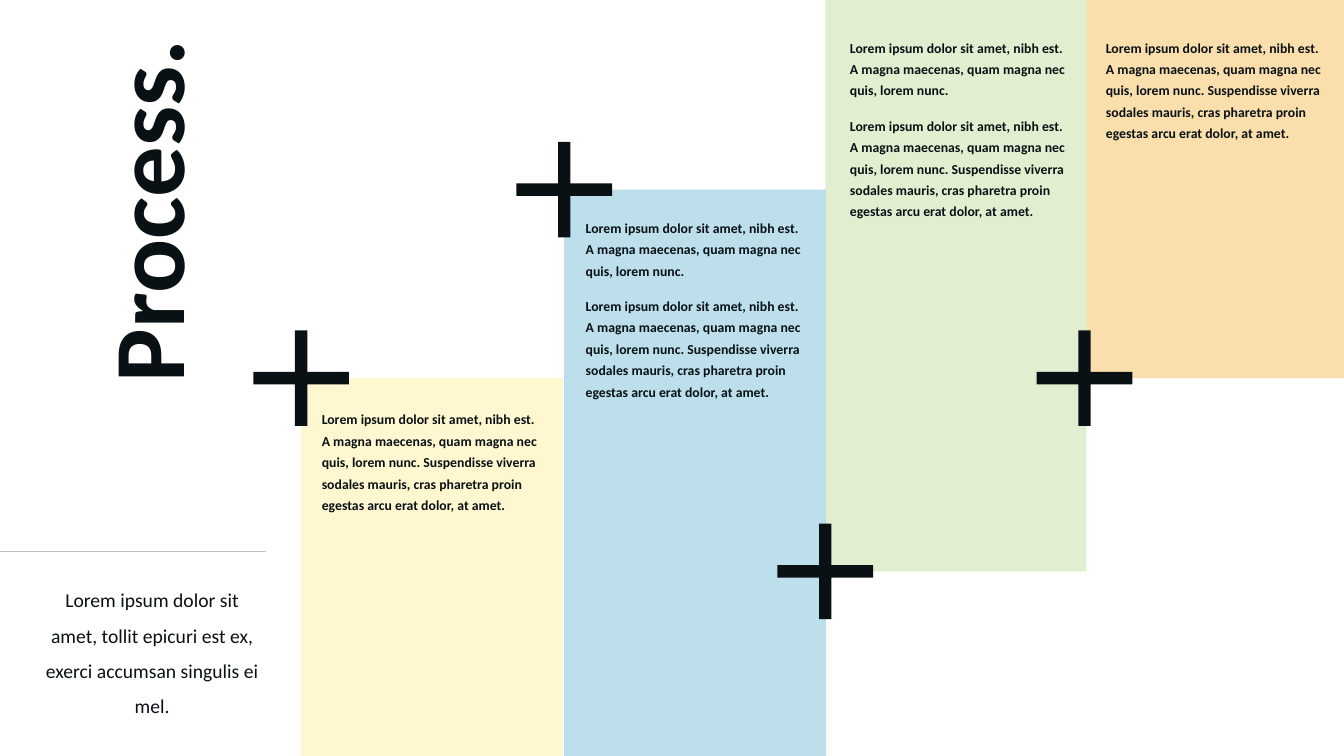
"""Build a process slide with four staggered colour panels marked by plus signs."""
from pptx import Presentation
from pptx import util as u
from pptx.dml.color import RGBColor
from pptx.enum import shapes, text
from pptx.oxml.ns import qn
from lxml import etree

COLORS = {
    "ink": "091115",
    "rule": "BFBFBF",
    "orange": "FADFAC",
    "green": "E1EFD0",
    "blue": "BCDFEB",
    "yellow": "FFF7D0",
}
SHORT = "Lorem ipsum dolor sit amet, nibh est. A magna maecenas, quam magna nec quis, lorem nunc."
LONG = SHORT + " Suspendisse viverra sodales mauris, cras pharetra proin egestas arcu erat dolor, at amet."
TEXT_WIDTH = 5.69
PLUS_SIZE = 3.28

presentation = Presentation()
presentation.slide_width = u.Cm(33.87)
presentation.slide_height = u.Cm(19.05)
slide = presentation.slides.add_slide(presentation.slide_layouts[6])


def add_text(paragraphs, left, top, width, height, size, bold=False, align="LEFT",
             spacing=1.0, before=0, inset=0.13, anchor="TOP", rotation=0):
    box = slide.shapes.add_textbox(u.Cm(left), u.Cm(top), u.Cm(width), u.Cm(height))
    box.rotation = rotation
    frame = box.text_frame
    frame.word_wrap = True
    frame.vertical_anchor = text.MSO_ANCHOR[anchor]
    frame.margin_left = frame.margin_right = u.Cm(inset)
    frame.margin_top = frame.margin_bottom = u.Cm(inset)
    for index, words in enumerate(paragraphs):
        paragraph = frame.add_paragraph() if index else frame.paragraphs[0]
        paragraph.alignment = text.PP_ALIGN[align]
        paragraph.line_spacing = spacing
        paragraph.space_before = u.Pt(before)
        run = paragraph.add_run()
        run.text = words
        run.font.name = "Calibri"
        run.font.size = u.Pt(size)
        run.font.bold = bold
        run.font.color.rgb = RGBColor.from_string(COLORS["ink"])


def add_filled(kind, left, top, width, height, color):
    shape = slide.shapes.add_shape(kind, u.Cm(left), u.Cm(top), u.Cm(width), u.Cm(height))
    shape.shadow.inherit = False
    shape.fill.solid()
    shape.fill.fore_color.rgb = RGBColor.from_string(COLORS[color])
    shape.line.fill.background()
    return shape


rule = slide.shapes.add_connector(
    shapes.MSO_CONNECTOR.STRAIGHT, u.Cm(0), u.Cm(13.89), u.Cm(6.71), u.Cm(13.89))
rule.line.color.rgb = RGBColor.from_string(COLORS["rule"])
rule.line.width = u.Pt(1)
etree.SubElement(rule.element.spPr, qn("a:effectLst"))

panels = [
    ("orange", 27.33, 0, 6.54, 9.53, 27.74, 0.74, [LONG]),
    ("green", 20.8, 0, 6.58, 14.4, 21.29, 0.74, [SHORT, LONG]),
    ("blue", 14.22, 4.78, 6.6, 14.27, 14.63, 5.28, [SHORT, LONG]),
    ("yellow", 7.59, 9.53, 6.6, 9.52, 7.98, 10.11, [LONG]),
]
for color, left, top, width, height, text_left, text_top, paragraphs in panels:
    add_filled(shapes.MSO_SHAPE.RECTANGLE, left, top, width, height, color)

add_text(["Lorem ipsum dolor sit amet, tollit epicuri est ex, exerci accumsan singulis ei mel."],
         0.99, 14.4, TEXT_WIDTH, 4.14, 14, align="CENTER", spacing=1.5, before=10)
add_text(["Process."], -2.49, 4.22, 12.65, TEXT_WIDTH, 72, bold=True, align="RIGHT",
         spacing=0.9, inset=0.25, anchor="MIDDLE", rotation=270)

for color, left, top, width, height, text_left, text_top, paragraphs in panels:
    add_text(paragraphs, text_left, text_top, TEXT_WIDTH, top + height - 0.5 - text_top,
             9.8, bold=True, spacing=1.3, before=10)

for color, left, top, width, height, text_left, text_top, paragraphs in panels:
    corner = top if top else height
    plus = add_filled(shapes.MSO_SHAPE.MATH_PLUS, left - PLUS_SIZE / 2, corner - PLUS_SIZE / 2,
                      PLUS_SIZE, PLUS_SIZE, "ink")
    plus.adjustments[0] = 0.095

presentation.save("out.pptx")
